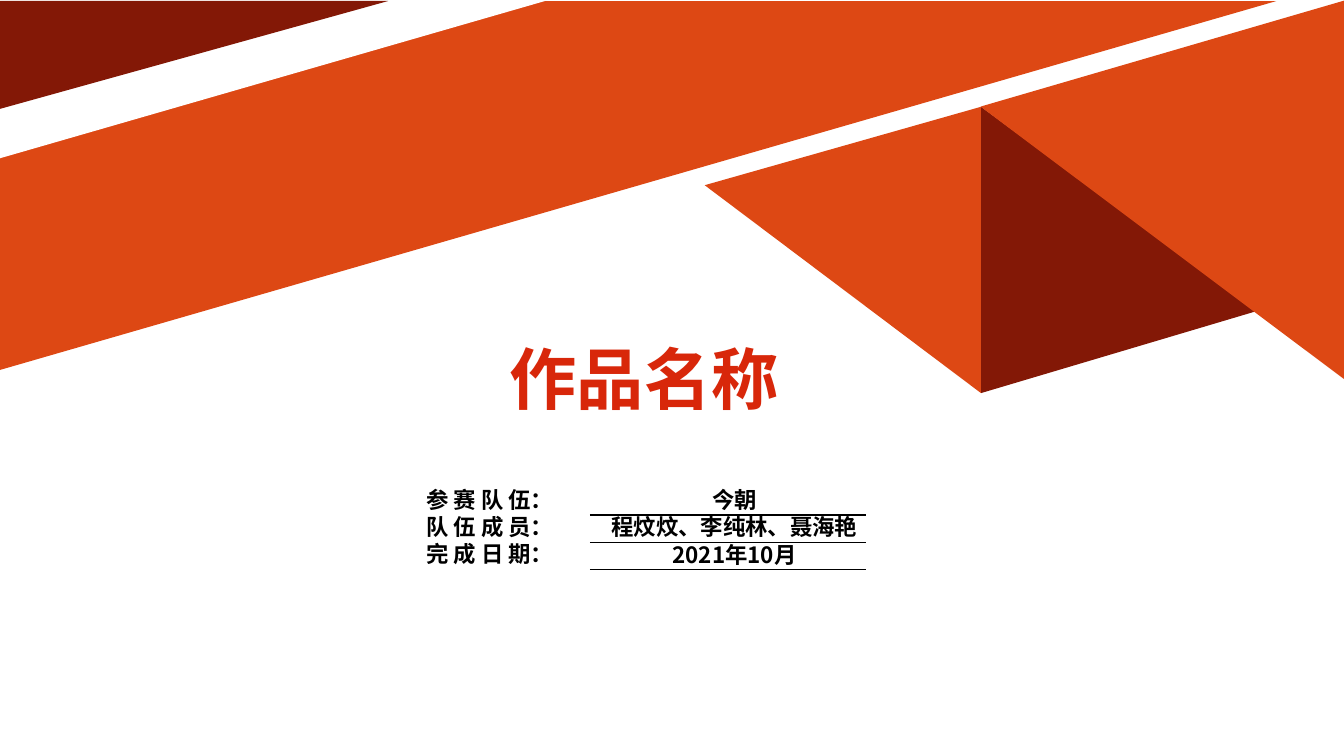
from dataclasses import dataclass

from lxml import etree
from pptx import Presentation
from pptx import util as u
from pptx.dml.color import RGBColor
from pptx.enum import shapes, text
from pptx.oxml import ns

COLORS = {
    "orange": "DD4814",
    "maroon": "831806",
    "white": "FFFFFF",
    "title": "D8270A",
    "black": "000000",
}
FONT = "Noto Sans CJK SC"
PEAK = shapes.MSO_SHAPE.ISOSCELES_TRIANGLE
CORNER = shapes.MSO_SHAPE.RIGHT_TRIANGLE


@dataclass
class Facet:
    kind: int
    left: float
    top: float
    width: float
    height: float
    color: str
    rotation: int = 180
    flipped: bool = True
    apex: float | None = None


@dataclass
class Entry:
    label: str
    value: str


FACETS = [
    Facet(PEAK, 6.94, 1.11, 2.84, 2.74, "orange", 270, True, 0.274),
    Facet(PEAK, 9.68, 1.11, 2.84, 2.74, "maroon", 90, False, 0.713),
    Facet(PEAK, 9.65, 0.08, 3.76, 3.61, "orange", 270, True, 0.28),
    Facet(CORNER, 0, 0.01, 12.66, 3.66, "orange"),
    Facet(CORNER, 0, 0, 5.44, 1.57, "white"),
    Facet(CORNER, 0, 0.01, 3.85, 1.07, "maroon"),
]
ENTRIES = [
    Entry("参 赛 队 伍：", "今朝"),
    Entry("队 伍 成 员：", "程炆炆、李纯林、聂海艳"),
    Entry("完 成 日 期：", "2021年10月"),
]
COLUMN_WIDTHS = (1.69, 2.74)
ROW_HEIGHT = 0.27


def rgb(name: str) -> RGBColor:
    return RGBColor.from_string(COLORS[name])


def draw_facet(slide, facet: Facet) -> None:
    box = (u.Inches(n) for n in (facet.left, facet.top, facet.width, facet.height))
    triangle = slide.shapes.add_shape(facet.kind, *box)
    triangle.shadow.inherit = False
    triangle.fill.solid()
    triangle.fill.fore_color.rgb = rgb(facet.color)
    triangle.line.fill.background()
    triangle.rotation = facet.rotation
    if facet.flipped:
        triangle._element.spPr.xfrm.set("flipH", "1")
    if facet.apex is not None:
        triangle.adjustments[0] = facet.apex


def write(frame, words: str, size: int, color: str, align: int) -> None:
    frame.text = words
    paragraph = frame.paragraphs[0]
    paragraph.alignment = align
    for run in paragraph.runs:
        run.font.size = u.Pt(size)
        run.font.bold = True
        run.font.name = FONT
        run.font.color.rgb = rgb(color)
        east_asian = etree.SubElement(run._r.get_or_add_rPr(), ns.qn("a:ea"))
        east_asian.set("typeface", FONT)


def rule_cell(cell, ruled_sides: str) -> None:
    """Draw a black rule on the given sides (of L, R, T, B), none elsewhere."""
    properties = cell._tc.get_or_add_tcPr()
    for position, side in enumerate("LRTB"):
        border = etree.Element(ns.qn(f"a:ln{side}"), w=str(u.Pt(1)))
        if side in ruled_sides:
            fill = etree.SubElement(border, ns.qn("a:solidFill"))
            etree.SubElement(fill, ns.qn("a:srgbClr"), val=COLORS["black"])
        else:
            etree.SubElement(border, ns.qn("a:noFill"))
        properties.insert(position, border)


def fill_cell(cell, words: str, align: int, anchor: int, left: float, sides: str) -> None:
    cell.fill.background()
    rule_cell(cell, sides)
    cell.margin_left, cell.margin_right = u.Inches(left), u.Inches(0.07)
    cell.margin_top = cell.margin_bottom = 0
    cell.vertical_anchor = anchor
    write(cell.text_frame, words, 16, "black", align)
    cell.text_frame.paragraphs[0].line_spacing = u.Pt(19)


def draw_title(slide) -> None:
    title = slide.shapes.add_textbox(
        u.Inches(4.95), u.Inches(3.3), u.Inches(2.87), u.Inches(0.91))
    title.text_frame.word_wrap = False
    title.text_frame.auto_size = text.MSO_AUTO_SIZE.SHAPE_TO_FIT_TEXT
    write(title.text_frame, "作品名称", 48, "title", text.PP_ALIGN.RIGHT)


def draw_entries(slide) -> None:
    table = slide.shapes.add_table(
        len(ENTRIES), len(COLUMN_WIDTHS), u.Inches(4.16), u.Inches(4.84),
        u.Inches(sum(COLUMN_WIDTHS)), u.Inches(ROW_HEIGHT * len(ENTRIES))).table
    table.first_row = table.horz_banding = False
    for column, width in zip(table.columns, COLUMN_WIDTHS):
        column.width = u.Inches(width)
    for index, entry in enumerate(ENTRIES):
        table.rows[index].height = u.Inches(ROW_HEIGHT)
        fill_cell(table.cell(index, 0), entry.label, text.PP_ALIGN.LEFT,
                  text.MSO_ANCHOR.TOP, 0.07, "")
        fill_cell(table.cell(index, 1), entry.value, text.PP_ALIGN.CENTER,
                  text.MSO_ANCHOR.BOTTOM, 0.2, "TB" if index else "B")


def main() -> None:
    deck = Presentation()
    deck.slide_width, deck.slide_height = u.Inches(13.33), u.Inches(7.5)
    slide = deck.slides.add_slide(deck.slide_layouts[6])
    for facet in FACETS:
        draw_facet(slide, facet)
    draw_title(slide)
    draw_entries(slide)
    deck.save("out.pptx")


if __name__ == "__main__":
    main()
